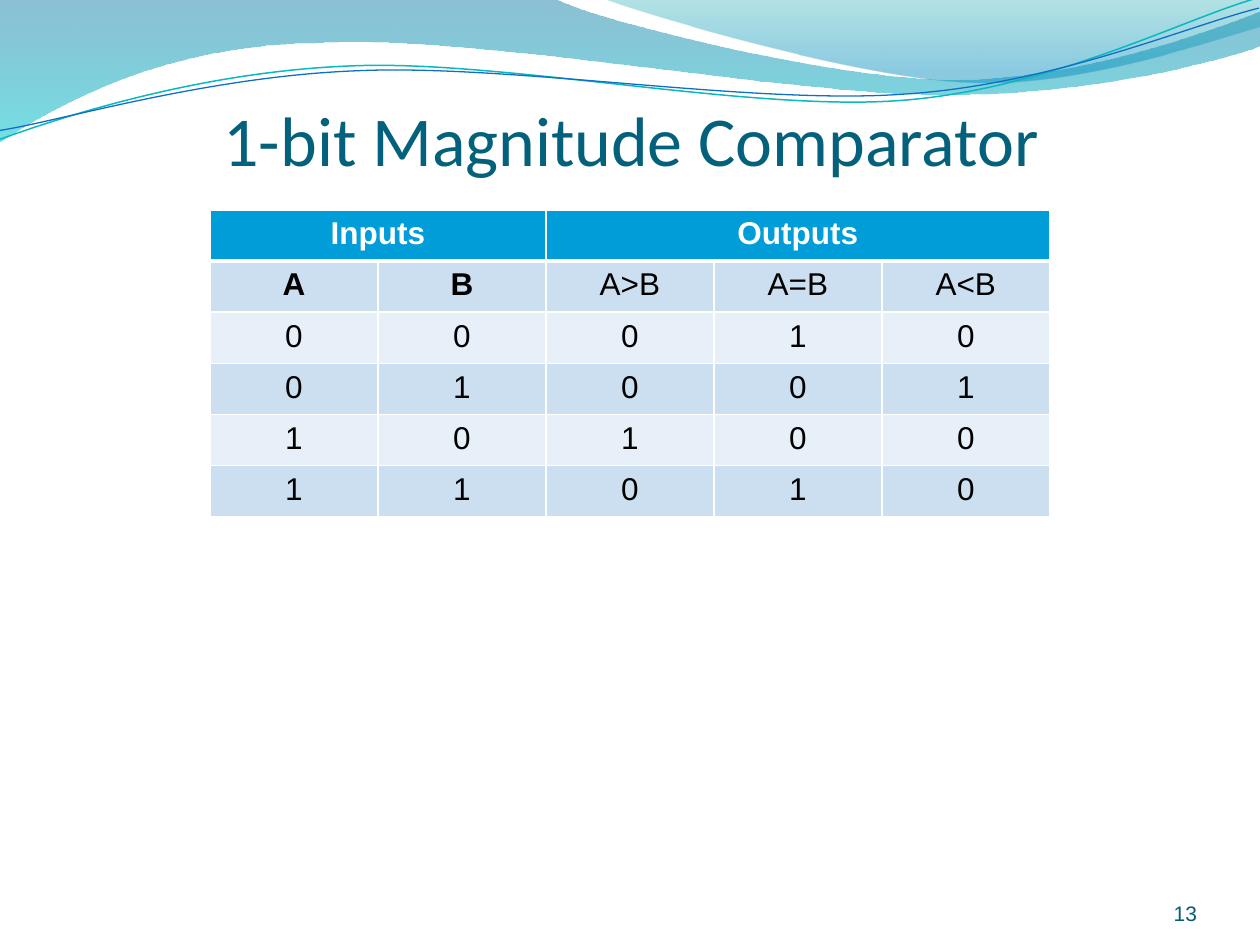
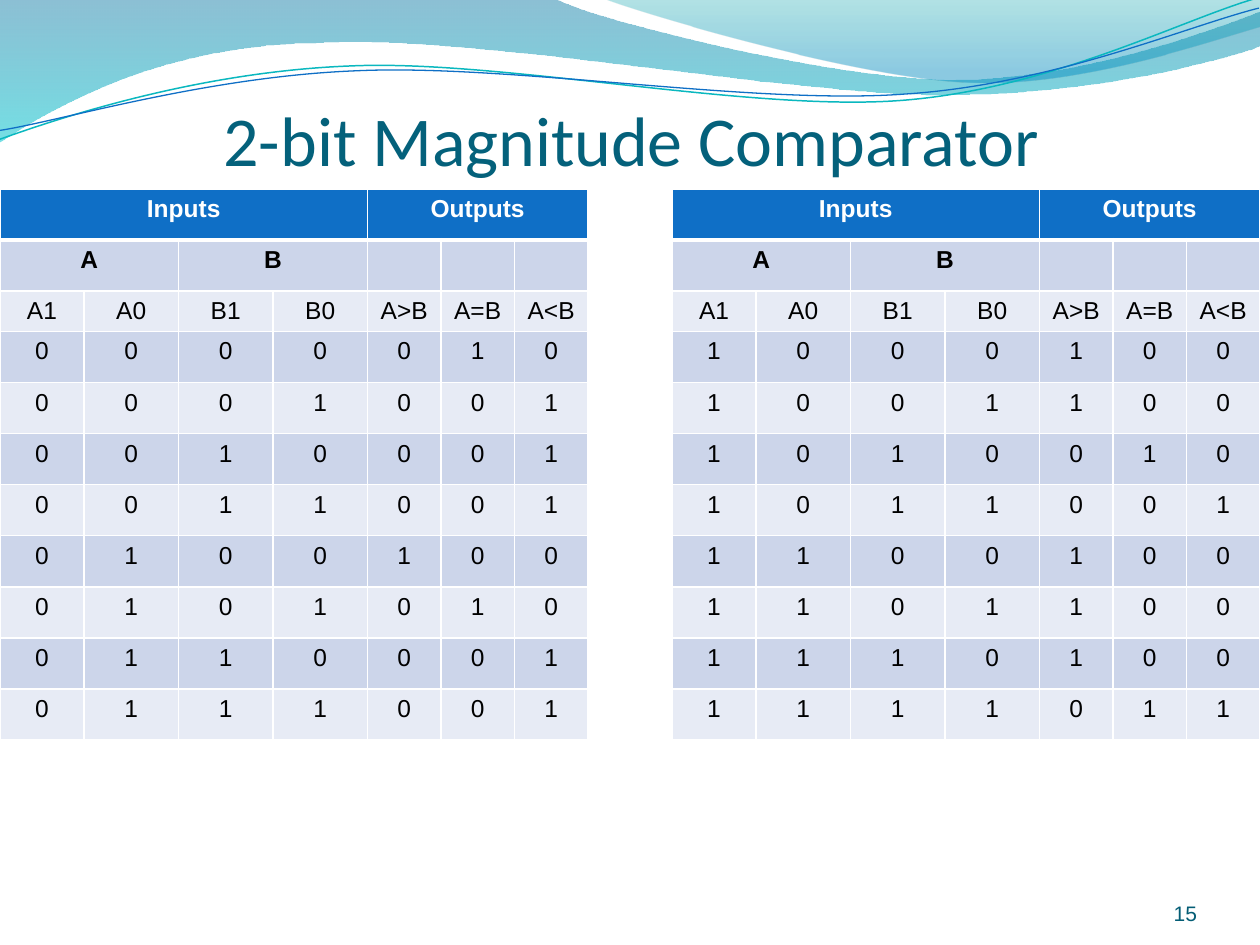
from itertools import accumulate, chain

from lxml import etree
from pptx import Presentation
from pptx import util as u
from pptx.dml.color import RGBColor
from pptx.enum import text
from pptx.oxml.ns import qn
from pptx.shapes.shapetree import SlideShapes

SCALE = 3048
OUTLINE_STEP = 3
WAVE_TILT = 357.3
COLORS = {
    "title": "04617B", "number": "045D75", "white": "FFFFFF", "black": "000000",
    "deep_blue": "0074A1", "turquoise": "00C6CF", "teal": "00A1A9", "sky": "008BBF",
    "teal_line": "0AB8BF", "blue_line": "0F6FC6",
}
SMALL_TABLE = {"head": "009DD9", "dark": "CCDFF1", "light": "E7EFF8", "size": 18}
WIDE_TABLE = {"head": "0F6FC6", "dark": "CCD5EA", "light": "E7EBF5", "size": 14}

LEFT_BAND = [
    [(0, -1)], [(440, -1)],
    [(476, 17), (664, 63), (758, 63)], [(853, 63), (958, 26), (1000, 9)],
    [(1001, 36)],
    [(983, 44), (870, 76), (746, 75)], [(622, 75), (382, 28), (257, 34)],
    [(129, 35), (46, 83), (-1, 113)], [(0, -1)],
]
RIGHT_BAND = [
    [(479, -1)], [(509, 11), (682, 62), (769, 65)],
    [(856, 69), (961, 32), (1000, 21)], [(1000, 0)], [(479, -1)],
]
TEAL_WAVE = [
    [(-2, 87)], [(47, 72), (158, 41), (278, 42)],
    [(396, 42), (591, 93), (712, 90)], [(832, 87), (940, 36), (1000, 22)],
]
BLUE_WAVE = [
    [(-2, 80)], [(46, 75), (164, 45), (283, 46)],
    [(404, 46), (596, 88), (716, 85)], [(835, 83), (942, 42), (1001, 30)],
]

OUTPUTS = ["A>B", "A=B", "A<B"]
ONE_BIT_ROWS = [
    ["Inputs", None, "Outputs", None, None],
    ["A", "B", *OUTPUTS],
    *map(list, ["00010", "01001", "10100", "11010"]),
]
TWO_BIT_HEAD = [
    ["Inputs", None, None, None, "Outputs", None, None],
    ["A", None, "B", None, "", "", ""],
    ["A1", "A0", "B1", "B0", *OUTPUTS],
]
TWO_BIT_HALVES = [
    ["0000010", "0001001", "0010001", "0011001",
     "0100100", "0101010", "0110001", "0111001"],
    ["1000100", "1001100", "1010010", "1011001",
     "1100100", "1101100", "1110100", "1111011"],
]


def px(length):
    return u.Emu(round(length * SCALE))


def rgb(color):
    return RGBColor.from_string(COLORS.get(color, color))


def write(frame, words, size, color, font="Arial", bold=False, align="CENTER"):
    para = frame.paragraphs[0]
    para.alignment = getattr(text.PP_ALIGN, align)
    span = para.add_run()
    span.text = words
    span.font.name, span.font.size, span.font.bold = font, u.Pt(size), bold
    span.font.color.rgb = rgb(color)


def bend(shape, segments):
    outline = next(shape._element.iter(qn("a:path")))
    lines = iter(outline.findall(qn("a:lnTo")))
    for segment in segments:
        corners = [next(lines) for _ in segment]
        if len(corners) == 3:
            curve = etree.Element(qn("a:cubicBezTo"))
            corners[0].addprevious(curve)
            for corner in corners:
                curve.append(corner[0])
                outline.remove(corner)


def split(length, weights):
    edges = [0, *(px(length * part / sum(weights)) for part in accumulate(weights))]
    return [end - start for start, end in zip(edges, edges[1:])]


class Slides:
    """Holds the deck style and the slide being built."""

    def __init__(self):
        self.deck = Presentation()
        self.deck.slide_width, self.deck.slide_height = px(3000), px(2250)
        self.layout = self.deck.slide_layouts[5]
        self.backdrop = SlideShapes(self.layout.shapes._spTree, self.layout)
        self.page = None
        self.band(LEFT_BAND, [(0, "deep_blue", 45), (1, "turquoise", 55)])
        self.band(RIGHT_BAND, [(0, "teal", 30), (0.8, "sky", 45)])
        self.wave(TEAL_WAVE, "teal_line", 0.85)
        self.wave(BLUE_WAVE, "blue_line", 0.75)

    def start(self, title, number):
        self.page = self.deck.slides.add_slide(self.layout)
        self.number(number)
        self.title(title)

    def outline(self, segments, close):
        first, *rest = [(px(x * OUTLINE_STEP), px(y * OUTLINE_STEP))
                        for x, y in chain.from_iterable(segments)]
        builder = self.backdrop.build_freeform(*first)
        builder.add_line_segments(rest, close=close)
        shape = builder.convert_to_shape()
        shape.shadow.inherit = False
        bend(shape, segments[1:])
        return shape

    def band(self, segments, stops):
        shape = self.outline(segments, True)
        shape.line.fill.background()
        shape.fill.gradient()
        shape.fill.gradient_angle = 270
        for stop, (position, color, _) in zip(shape.fill.gradient_stops, stops):
            stop.position = position
            stop.color.rgb = rgb(color)
        tints = shape._element.spPr.iter(qn("a:srgbClr"))
        for tint, (_, _, opacity) in zip(tints, stops):
            etree.SubElement(tint, qn("a:alpha"), val=str(opacity * 1000))

    def wave(self, segments, color, width):
        shape = self.outline(segments, False)
        shape.rotation = WAVE_TILT
        shape.fill.background()
        shape.line.color.rgb = rgb(color)
        shape.line.width = u.Pt(width)

    def frame(self, box, top_margin):
        frame = box.text_frame
        frame.word_wrap = True
        frame.auto_size = text.MSO_AUTO_SIZE.NONE
        frame.vertical_anchor = text.MSO_ANCHOR.BOTTOM
        frame.margin_left = frame.margin_right = frame.margin_bottom = 0
        frame.margin_top = px(top_margin)
        return frame

    def title(self, words):
        box = self.page.shapes.title
        box.left, box.top, box.width, box.height = map(px, (225, 99, 2556, 330))
        write(self.frame(box, 15), words, 40, "title", font="Calibri")

    def number(self, number):
        box = self.page.shapes.add_textbox(*map(px, (2600, 2085, 250, 120)))
        write(self.frame(box, 0), str(number), 12, "number", align="RIGHT")

    def borders(self, cell, top, bottom):
        properties = cell._tc.get_or_add_tcPr()
        widths = {"a:lnL": 1, "a:lnR": 1, "a:lnT": top, "a:lnB": bottom}
        for place, (tag, width) in enumerate(widths.items()):
            line = etree.Element(qn(tag), w=str(u.Pt(width)))
            fill = etree.SubElement(line, qn("a:solidFill"))
            etree.SubElement(fill, qn("a:srgbClr"), val=COLORS["white"])
            properties.insert(place, line)

    def table(self, rows, place, columns, heights, style):
        left, top, width, height = place
        grid = self.page.shapes.add_table(len(rows), len(columns), *map(px, place)).table
        for column, size in zip(grid.columns, split(width, columns)):
            column.width = size
        for row, size in zip(grid.rows, split(height, heights)):
            row.height = size
        for r, row in enumerate(rows):
            shade = style["head"] if r == 0 else style["dark" if r % 2 else "light"]
            for c, words in enumerate(row):
                cell = grid.cell(r, c)
                cell.fill.solid()
                cell.fill.fore_color.rgb = rgb(shade)
                self.borders(cell, 3 if r == 1 else 1, 3 if r == 0 else 1)
                if words:
                    write(cell.text_frame, words, style["size"],
                          "black" if r else "white", bold=r == 0 or words in ("A", "B"))
                    last = c
                    while last + 1 < len(row) and row[last + 1] is None:
                        last += 1
                    if last > c:
                        cell.merge(grid.cell(r, last))


def main():
    slides = Slides()
    slides.start("1-bit Magnitude Comparator", 13)
    slides.table(ONE_BIT_ROWS, (500, 500, 2000, 730), [1] * 5, [1] * 6, SMALL_TABLE)

    slides.start("2-bit Magnitude Comparator", 15)
    for left, half in zip((0, 1600), TWO_BIT_HALVES):
        slides.table(TWO_BIT_HEAD + [list(bits) for bits in half], (left, 450, 1400, 1290),
                     [8, 9, 9, 9, 7, 7, 7], [5, 5, 3] + [5] * 8, WIDE_TABLE)
    slides.deck.save("out.pptx")


if __name__ == "__main__":
    main()
